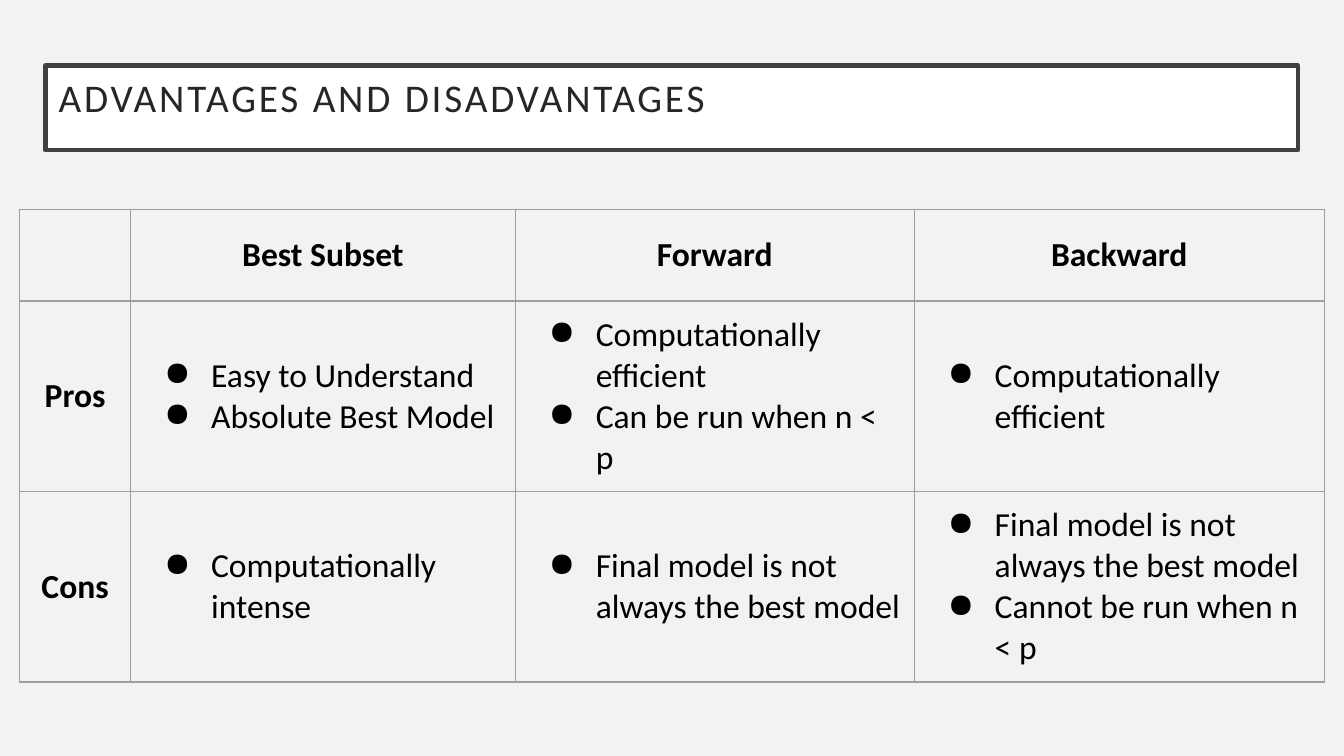
from dataclasses import dataclass

from lxml.etree import SubElement
from pptx import Presentation
from pptx.dml.color import RGBColor
from pptx.enum.shapes import MSO_SHAPE
from pptx.enum.text import MSO_ANCHOR, PP_ALIGN
from pptx.oxml.ns import qn
from pptx.util import Cm, Pt


@dataclass(frozen=True)
class Theme:
    font: str = "Calibri"
    background: RGBColor = RGBColor(0xF2, 0xF2, 0xF2)
    panel: RGBColor = RGBColor(0xFF, 0xFF, 0xFF)
    frame: RGBColor = RGBColor(0x40, 0x40, 0x40)
    title: RGBColor = RGBColor(0x26, 0x26, 0x26)
    text: RGBColor = RGBColor(0, 0, 0)
    grid: str = "9E9E9E"
    title_size: Pt = Pt(21)
    body_size: Pt = Pt(18)


THEME = Theme()
INSET = Cm(0.25)
MARGINS = {f"margin_{side}": INSET for side in ("left", "right", "top", "bottom")}

TITLE = "ADVANTAGES AND DISADVANTAGES"
HEADERS = ["", "Best Subset", "Forward", "Backward"]
COMPARISON = {
    "Pros": [
        ["Easy to Understand", "Absolute Best Model"],
        ["Computationally efficient", "Can be run when n < p"],
        ["Computationally efficient"],
    ],
    "Cons": [
        ["Computationally intense"],
        ["Final model is not always the best model"],
        ["Final model is not always the best model", "Cannot be run when n < p"],
    ],
}
COLUMN_WIDTHS = [2.1, 7.27, 7.54, 7.75]
ROW_HEIGHTS = [1.73, 2.67, 2.67]


def apply(target, values):
    for name, value in values.items():
        setattr(target, name, value)


def add_run(p, text, size, color, bold=False):
    r = p.add_run()
    r.text = text
    apply(r.font, {"name": THEME.font, "size": size, "bold": bold})
    r.font.color.rgb = color
    return r


def add_title(s, left, top, width, height):
    sp = s.shapes.add_shape(MSO_SHAPE.RECTANGLE, left, top, width, height)
    sp.shadow.inherit = False
    sp.fill.solid()
    sp.fill.fore_color.rgb = THEME.panel
    sp.line.color.rgb = THEME.frame
    sp.line.width = Pt(2.5)
    tf = sp.text_frame
    apply(tf, {**MARGINS, "word_wrap": True, "vertical_anchor": MSO_ANCHOR.TOP})
    p = tf.paragraphs[0]
    apply(p, {"alignment": PP_ALIGN.LEFT, "line_spacing": 0.9})
    r = add_run(p, TITLE, THEME.title_size, THEME.title)
    r.font._element.set("spc", "150")


def add_bullet(p):
    pPr = p._p.get_or_add_pPr()
    pPr.set("marL", str(Cm(1.27)))
    pPr.set("indent", str(-Cm(0.89)))
    SubElement(pPr, qn("a:buChar"), char="●")


def style_cell(cell):
    """Give the cell its insets, thin grid borders and no fill."""
    apply(cell, {**MARGINS, "vertical_anchor": MSO_ANCHOR.MIDDLE})
    tcPr = cell._tc.get_or_add_tcPr()
    for edge in ("lnL", "lnR", "lnT", "lnB"):
        ln = SubElement(tcPr, qn(f"a:{edge}"), w=str(Pt(0.75)))
        fill = SubElement(ln, qn("a:solidFill"))
        SubElement(fill, qn("a:srgbClr"), val=THEME.grid)
    cell.fill.background()


def fill_cell(cell, content):
    """Write a string as a centred bold heading, a list as bullets."""
    style_cell(cell)
    if not content:
        return
    is_heading = isinstance(content, str)
    tf = cell.text_frame
    for i, text in enumerate([content] if is_heading else content):
        p = tf.paragraphs[0] if i == 0 else tf.add_paragraph()
        if is_heading:
            p.alignment = PP_ALIGN.CENTER
        else:
            add_bullet(p)
        add_run(p, text, THEME.body_size, THEME.text, bold=is_heading)


def add_comparison(s, left, top, width, height):
    """Place the table, sharing the box out by the column and row proportions."""
    rows = [HEADERS] + [[name, *cells] for name, cells in COMPARISON.items()]
    table = s.shapes.add_table(len(rows), len(HEADERS), left, top, width, height).table
    apply(table, {"first_row": False, "horz_banding": False})
    for column, share in zip(table.columns, COLUMN_WIDTHS):
        column.width = int(width * share / sum(COLUMN_WIDTHS))
    for row, share in zip(table.rows, ROW_HEIGHTS):
        row.height = int(height * share / sum(ROW_HEIGHTS))
    for row, contents in zip(table.rows, rows):
        for cell, content in zip(row.cells, contents):
            fill_cell(cell, content)


def main():
    prs = Presentation()
    apply(prs, {"slide_width": Cm(25.4), "slide_height": Cm(14.29)})
    s = prs.slides.add_slide(prs.slide_layouts[6])
    s.background.fill.solid()
    s.background.fill.fore_color.rgb = THEME.background
    add_title(s, Cm(0.86), Cm(1.24), Cm(23.67), Cm(1.6))
    add_comparison(s, Cm(0.37), Cm(3.96), Cm(24.66), Cm(7.07))
    prs.save("out.pptx")


if __name__ == "__main__":
    main()
